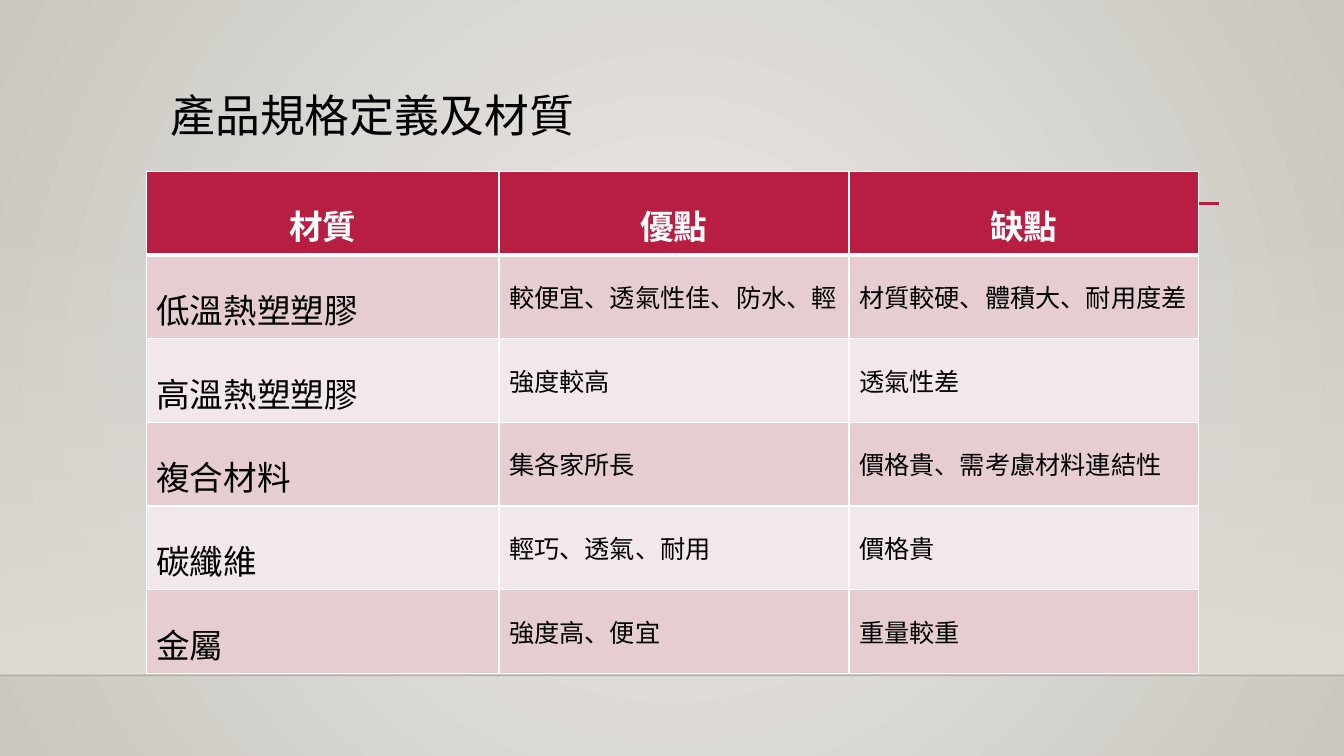
from lxml.etree import SubElement
from pptx import Presentation
from pptx.dml.color import RGBColor
from pptx.enum.shapes import MSO_CONNECTOR, MSO_SHAPE
from pptx.enum.text import MSO_ANCHOR, MSO_AUTO_SIZE, PP_ALIGN
from pptx.oxml.ns import qn
from pptx.util import Inches, Pt

SLIDE_W, SLIDE_H = 13.33, 7.5
FONT, CJK_FONT = "Calibri", "Noto Sans CJK TC"

BLACK = RGBColor(0x00, 0x00, 0x00)
WHITE = RGBColor(0xFF, 0xFF, 0xFF)
CRIMSON = RGBColor(0xB7, 0x1E, 0x42)
PINK = RGBColor(0xE6, 0xCD, 0xCF)
PALE_PINK = RGBColor(0xF3, 0xE8, 0xE9)
BG_CENTRE = RGBColor(0xEC, 0xEA, 0xE7)
BG_EDGE = RGBColor(0xCA, 0xC7, 0xC1)
WALL = RGBColor(0xDF, 0xDB, 0xD5)

TITLE = "產品規格定義及材質"
HEADERS = ["材質", "優點", "缺點"]
MATERIALS = [
    ["低溫熱塑塑膠", "較便宜、透氣性佳、防水、輕", "材質較硬、體積大、耐用度差"],
    ["高溫熱塑塑膠", "強度較高", "透氣性差"],
    ["複合材料", "集各家所長", "價格貴、需考慮材料連結性"],
    ["碳纖維", "輕巧、透氣、耐用", "價格貴"],
    ["金屬", "強度高、便宜", "重量較重"],
]
COLUMN_WIDTHS = [3.5, 3.47, 3.47]


def set_alpha(color_el, percent):
    SubElement(color_el, qn("a:alpha"), val=str(percent * 1000))


def set_gradient(fill, start, end):
    fill.gradient()
    for stop, color in zip(fill.gradient_stops, (start, end)):
        stop.color.rgb = color


def format_paragraph(p, size, color, spacing, bold=False, align=PP_ALIGN.LEFT):
    p.alignment = align
    p.line_spacing = spacing
    for r in p.runs:
        r.font.name = FONT
        r.font.size = Pt(size)
        r.font.bold = bold
        r.font.color.rgb = color
        SubElement(r.font._element, qn("a:ea"), typeface=CJK_FONT)


def add_line(slide, left, top, width, color, weight):
    line = slide.shapes.add_connector(
        MSO_CONNECTOR.STRAIGHT, Inches(left), Inches(top), Inches(left + width), Inches(top))
    line.line.color.rgb = color
    line.line.width = Pt(weight)
    SubElement(line.element.spPr, qn("a:effectLst"))
    return line


def add_backdrop(slide, wall_top, floor_top):
    # Radial background
    set_gradient(slide.background.fill, BG_CENTRE, BG_EDGE)
    grad = slide.element.find(".//" + qn("a:gradFill"))
    grad.remove(grad.find(qn("a:lin")))
    circle = SubElement(grad, qn("a:path"), path="circle")
    SubElement(circle, qn("a:fillToRect"), l="50000", t="50000", r="50000", b="50000")

    # Wall fading in towards the floor
    wall = slide.shapes.add_shape(
        MSO_SHAPE.RECTANGLE, 0, Inches(wall_top), Inches(SLIDE_W), Inches(floor_top - wall_top))
    wall.shadow.inherit = False
    wall.line.fill.background()
    set_gradient(wall.fill, WALL, WALL)
    wall.fill.gradient_angle = 270
    set_alpha(wall.element.find(".//" + qn("a:srgbClr")), 0)

    # Floor edge
    floor = add_line(slide, 0, floor_top, SLIDE_W, BLACK, 1)
    set_alpha(floor.element.find(".//" + qn("a:srgbClr")), 20)


def add_title(slide, left, top, width, height):
    title = slide.shapes.title
    title.left, title.top = Inches(left), Inches(top)
    title.width, title.height = Inches(width), Inches(height)
    tf = title.text_frame
    tf.text = TITLE
    tf.word_wrap = True
    tf.auto_size = MSO_AUTO_SIZE.NONE
    tf.vertical_anchor = MSO_ANCHOR.TOP
    format_paragraph(tf.paragraphs[0], 32, BLACK, 0.9)
    # Rule under the title
    add_line(slide, left, top + height - 0.01, width, CRIMSON, 2.5)


def set_borders(cell, widths):
    tc_pr = cell._tc.get_or_add_tcPr()
    for side, width in zip("LRTB", widths):
        ln = SubElement(tc_pr, qn("a:ln" + side), w=str(Pt(width)))
        solid = SubElement(ln, qn("a:solidFill"))
        SubElement(solid, qn("a:srgbClr"), val=str(WHITE))


def add_material_table(slide, left, top, row_height):
    rows = [HEADERS] + MATERIALS
    table = slide.shapes.add_table(
        len(rows), len(HEADERS), Inches(left), Inches(top),
        Inches(sum(COLUMN_WIDTHS)), Inches(row_height * len(rows))).table
    for column, width in zip(table.columns, COLUMN_WIDTHS):
        column.width = Inches(width)

    for i, texts in enumerate(rows):
        is_header = i == 0
        for j, text in enumerate(texts):
            cell = table.cell(i, j)
            set_borders(cell, (1, 1, 3 if i == 1 else 1, 3 if is_header else 1))
            cell.fill.solid()
            cell.fill.fore_color.rgb = CRIMSON if is_header else PINK if i % 2 else PALE_PINK
            cell.text = text
            format_paragraph(
                cell.text_frame.paragraphs[0],
                size=24 if is_header or j == 0 else 18,
                color=WHITE if is_header else BLACK,
                spacing=1.5,
                bold=is_header,
                align=PP_ALIGN.CENTER if is_header else PP_ALIGN.LEFT)


def main():
    prs = Presentation()
    prs.slide_width, prs.slide_height = Inches(SLIDE_W), Inches(SLIDE_H)
    slide = prs.slides.add_slide(prs.slide_layouts[5])
    add_backdrop(slide, wall_top=2.21, floor_top=6.7)
    add_title(slide, 1.59, 0.88, 10.5, 1.15)
    add_material_table(slide, 1.45, 1.7, row_height=0.83)
    prs.save("out.pptx")


if __name__ == "__main__":
    main()
